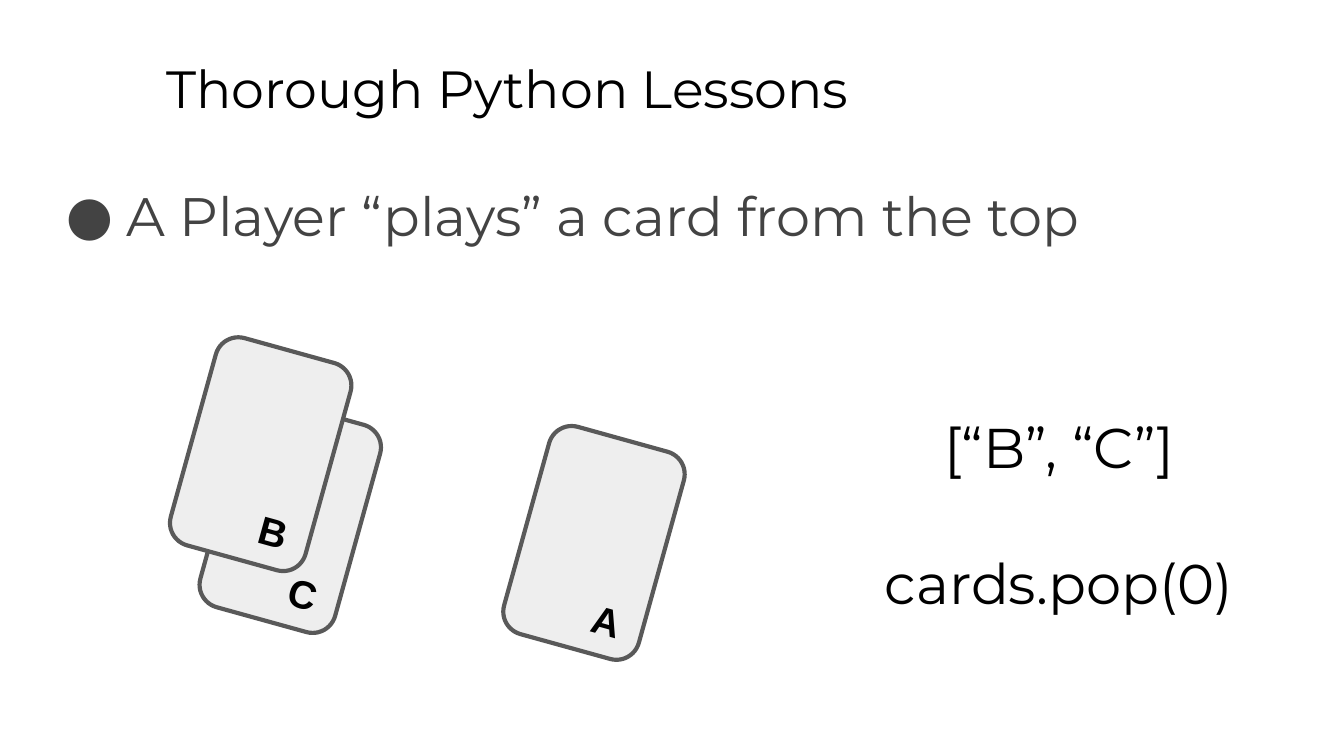
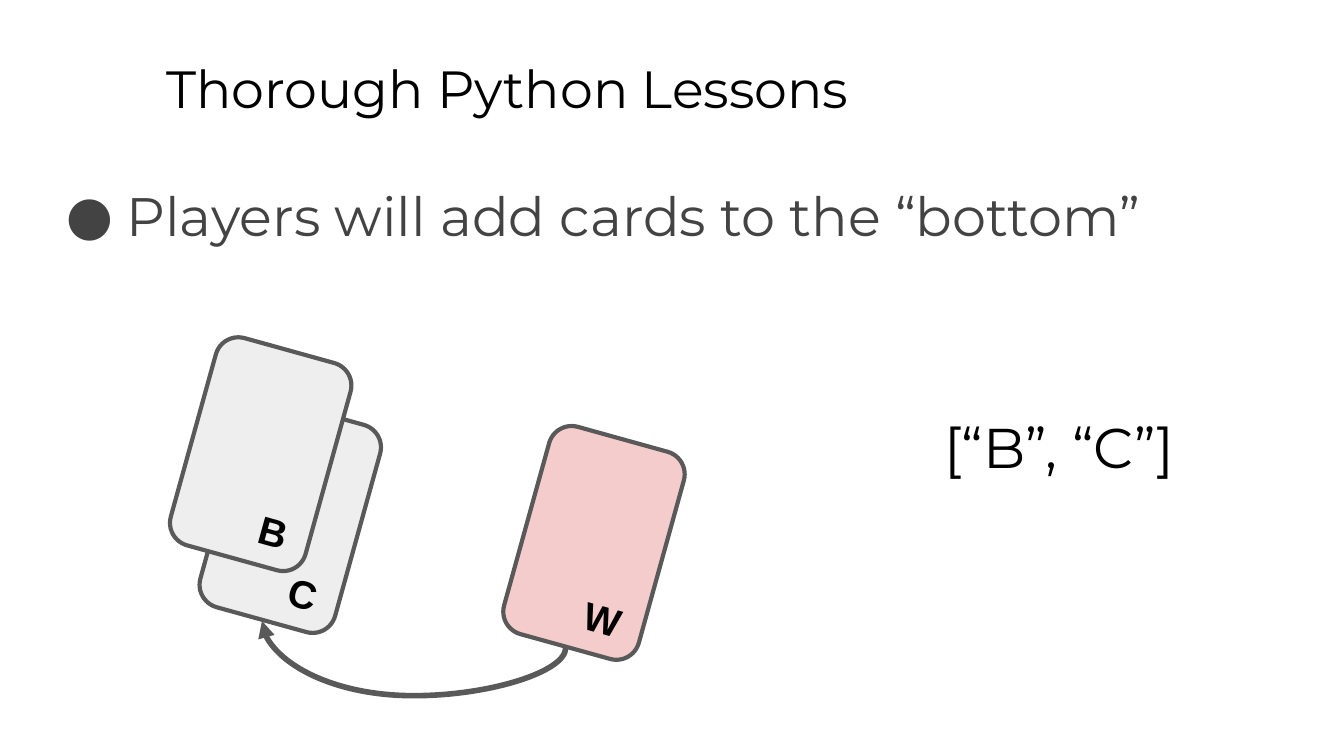
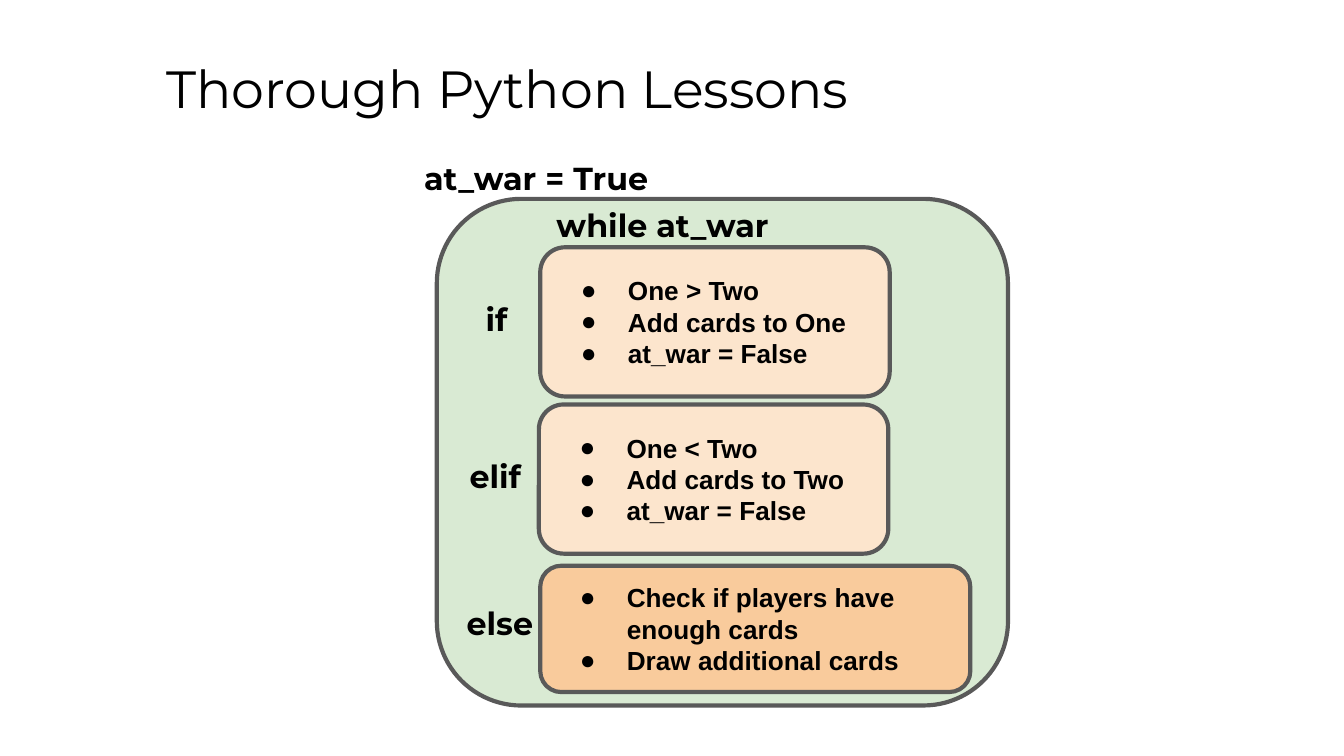
from lxml import etree
from pptx import Presentation
from pptx.dml.color import RGBColor
from pptx.enum.shapes import MSO_CONNECTOR, MSO_SHAPE
from pptx.enum.text import MSO_ANCHOR, MSO_AUTO_SIZE, PP_ALIGN
from pptx.oxml.ns import qn
from pptx.util import Inches, Pt

LEFT, CENTER, RIGHT = PP_ALIGN.LEFT, PP_ALIGN.CENTER, PP_ALIGN.RIGHT
TOP, MIDDLE, BOTTOM = MSO_ANCHOR.TOP, MSO_ANCHOR.MIDDLE, MSO_ANCHOR.BOTTOM
ROUNDED = MSO_SHAPE.ROUNDED_RECTANGLE
CURVE = MSO_CONNECTOR.CURVE

BLACK, BODY_GRAY, OUTLINE = "000000", "434343", "595959"
CARD_GRAY, CARD_PINK = "EEEEEE", "F4CCCC"
LOOP_GREEN, BRANCH_CREAM, BRANCH_ORANGE = "D9EAD3", "FCE5CD", "F9CB9C"
HEADING_FONT, SHAPE_FONT = "Montserrat", "Arial"
COURSE_TITLE = "Thorough Python Lessons"

# The slide is a grid of 100 columns by 56.25 rows with square cells.
CELL = Inches(0.1)
TITLE_AREA = (11.4, 3.2, 85.2, 6.3)
BODY_AREA = (3.4, 12.6, 95, 11)
CODE_AREA = (60.7, 29.7, 36.2, 9.5)
CARD_SIZE = (10.4, 16)
CARD_TILT = 15.5


def write_text(shape, lines, size=17, font=HEADING_FONT, color=BLACK, bold=False,
               align=LEFT, anchor=TOP, insets=(1, 1, 1, 1), gap=0, hanging=None):
    """Fill a shape with paragraphs; insets and hanging indent are in cells, gap in points."""
    frame = shape.text_frame
    frame.word_wrap = True
    frame.auto_size = MSO_AUTO_SIZE.NONE
    frame.vertical_anchor = anchor
    (frame.margin_left, frame.margin_top,
     frame.margin_right, frame.margin_bottom) = [int(inset * CELL) for inset in insets]
    for index, line in enumerate(lines):
        para = frame.add_paragraph() if index else frame.paragraphs[0]
        para.alignment = align
        para.space_before = Pt(gap if index else 0)
        span = para.add_run()
        span.text = line
        span.font.size, span.font.name, span.font.bold = Pt(size), font, bold
        span.font.color.rgb = RGBColor.from_string(color)
        if hanging:
            properties = para._p.get_or_add_pPr()
            properties.set("marL", str(5 * CELL))
            properties.set("indent", str(int(-hanging * CELL)))
            bullet_color = etree.SubElement(properties, qn("a:buClr"))
            etree.SubElement(bullet_color, qn("a:srgbClr"), val=color)
            etree.SubElement(properties, qn("a:buFont"), typeface=font)
            etree.SubElement(properties, qn("a:buChar"), char="●")


def place(page, area, fill=None):
    """Add a rounded outlined shape when a fill is given, else a text box."""
    lengths = [int(length * CELL) for length in area]
    if not fill:
        return page.shapes.add_textbox(*lengths)
    box = page.shapes.add_shape(ROUNDED, *lengths)
    box.shadow.inherit = False
    box.fill.solid()
    box.fill.fore_color.rgb = RGBColor.from_string(fill)
    box.line.color.rgb = RGBColor.from_string(OUTLINE)
    box.line.width = Pt(2.25)
    return box


deck = Presentation()
deck.slide_width, deck.slide_height = 100 * CELL, int(56.25 * CELL)
list_layout, title_layout = deck.slide_layouts[1], deck.slide_layouts[5]

pages = [deck.slides.add_slide(layout)
         for layout in (list_layout, list_layout, title_layout)]
for page in pages:
    title = page.shapes.title
    title.left, title.top, title.width, title.height = [
        int(length * CELL) for length in TITLE_AREA]
    write_text(title, [COURSE_TITLE], size=28)

# Slides 1 and 2: a hand of cards, a single card and the matching list
card_pages = [
    ("A Player “plays” a card from the top",
     ["[“B”, “C”]", "cards.pop(0)"], "A", CARD_GRAY),
    ("Players will add cards to the “bottom”",
     ["[“B”, “C”]"], "W", CARD_PINK),
]
for page, (statement, code, letter, fill) in zip(pages, card_pages):
    body = page.placeholders[1]
    body.left, body.top, body.width, body.height = [
        int(length * CELL) for length in BODY_AREA]
    write_text(body, [statement], size=29, color=BODY_GRAY, hanging=4.5)

    cards = [("C", 16.4, 30.4, CARD_GRAY), ("B", 14.2, 25.8, CARD_GRAY),
             (letter, 39, 32.4, fill)]
    for name, column, row, card_fill in cards:
        card = place(page, (column, row, *CARD_SIZE), card_fill)
        card.rotation = CARD_TILT
        write_text(card, [name], size=21, font=SHAPE_FONT, bold=True, align=RIGHT,
                   anchor=BOTTOM, insets=(1, 1, 1.2, 0.5))

    write_text(place(page, CODE_AREA), code, size=30, align=CENTER, gap=36.6)

# Slide 2: the curve from the new card to the bottom of the hand.
# A quarter turn about its middle swaps the width and height of the curve.
start_x, start_y, end_x, end_y = 42.1, 48.2, 19.5, 46.2
middle_x, middle_y = (start_x + end_x) / 2, (start_y + end_y) / 2
half_width, half_height = (start_y - end_y) / 2, (start_x - end_x) / 2
curve = pages[1].shapes.add_connector(CURVE, *[int(length * CELL) for length in (
    middle_x + half_width, middle_y - half_height,
    middle_x - half_width, middle_y + half_height)])
curve.line.color.rgb = RGBColor.from_string(OUTLINE)
curve.line.width = Pt(3)
curve_properties = curve._element.spPr
curve_properties.find(qn("a:xfrm")).set("rot", str(90 * 60000))
guides = curve_properties.find(qn("a:prstGeom")).find(qn("a:avLst"))
etree.SubElement(guides, qn("a:gd"), name="adj1", fmla="val -178200")
etree.SubElement(curve.line._get_or_add_ln(), qn("a:tailEnd"), type="triangle")
etree.SubElement(curve_properties, qn("a:effectLst"))

# Slide 3: the war loop with its three branches
war_page = pages[2]
place(war_page, (32.5, 14.8, 42.5, 37.7), LOOP_GREEN)

branches = [
    (["One > Two", "Add cards to One", "at_war = False"],
     (40.2, 18.4, 26, 11.1), BRANCH_CREAM),
    (["One < Two", "Add cards to Two", "at_war = False"],
     (40.1, 30.1, 26, 11.1), BRANCH_CREAM),
    (["Check if players have enough cards", "Draw additional cards"],
     (40.2, 42.1, 32, 9.4), BRANCH_ORANGE),
]
for steps, area, fill in branches:
    write_text(place(war_page, area, fill), steps, size=14, font=SHAPE_FONT,
               bold=True, anchor=MIDDLE, hanging=3.5)

labels = [
    ("at_war = True", 27.5, 10.8, 24.8),
    ("while at_war", 36.9, 14.3, 24.8),
    ("if", 34, 21.3, 5.9),
    ("elif", 33.9, 33, 5.9),
    ("else", 33.5, 43.9, 7.4),
]
for label, column, row, width in labels:
    write_text(place(war_page, (column, row, width, 4.1)), [label],
               bold=True, align=CENTER)

deck.save("out.pptx")
